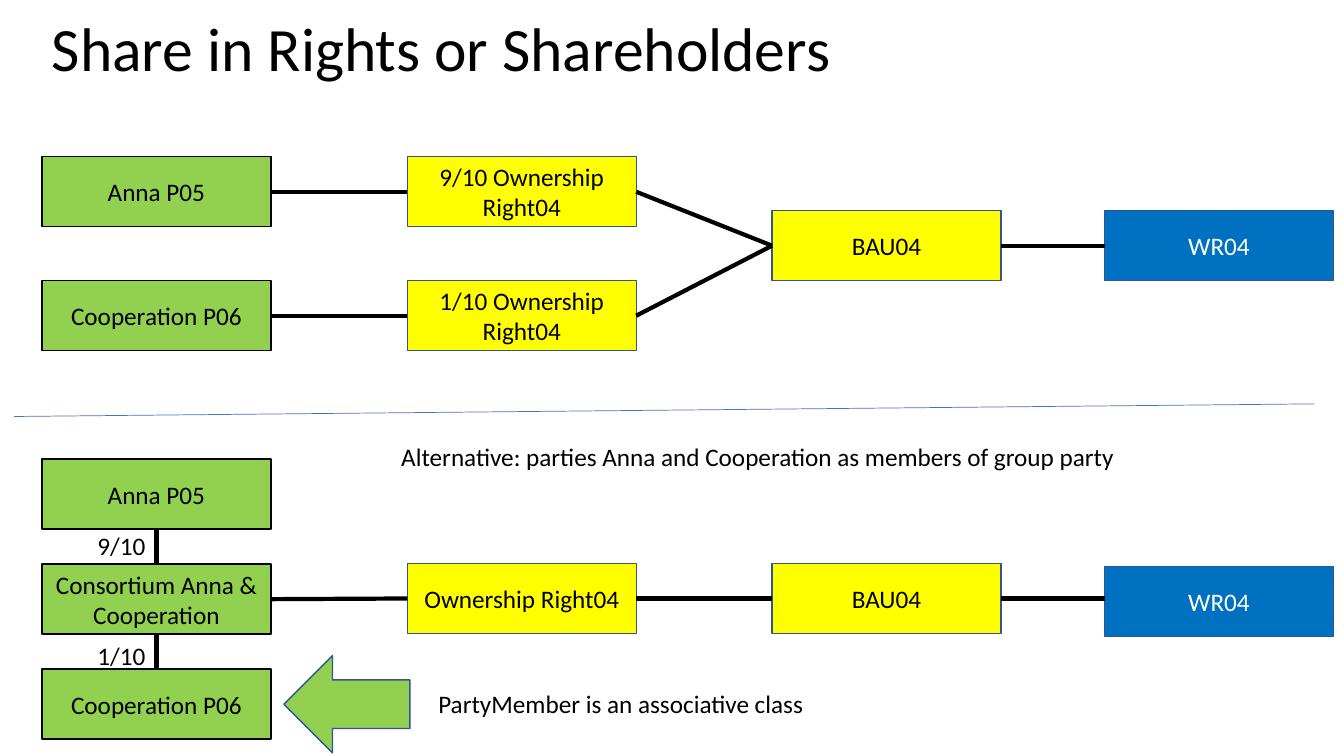
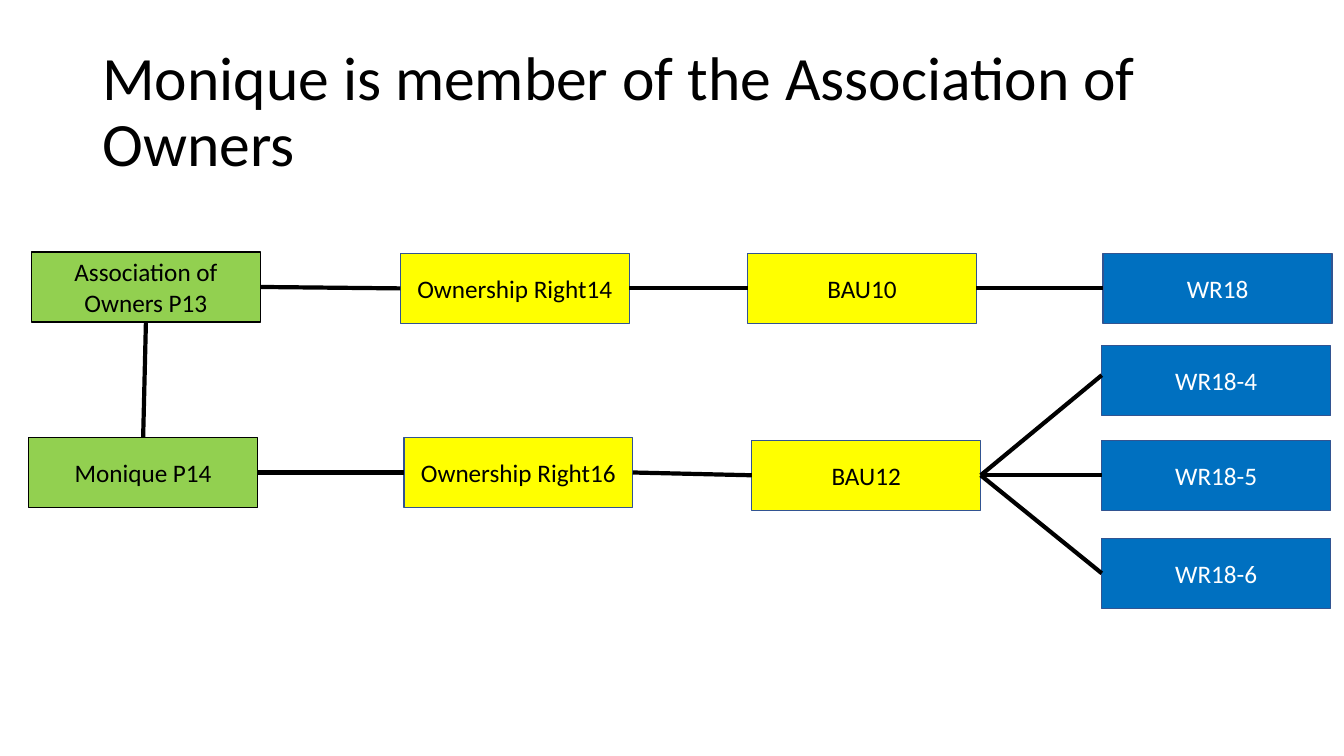
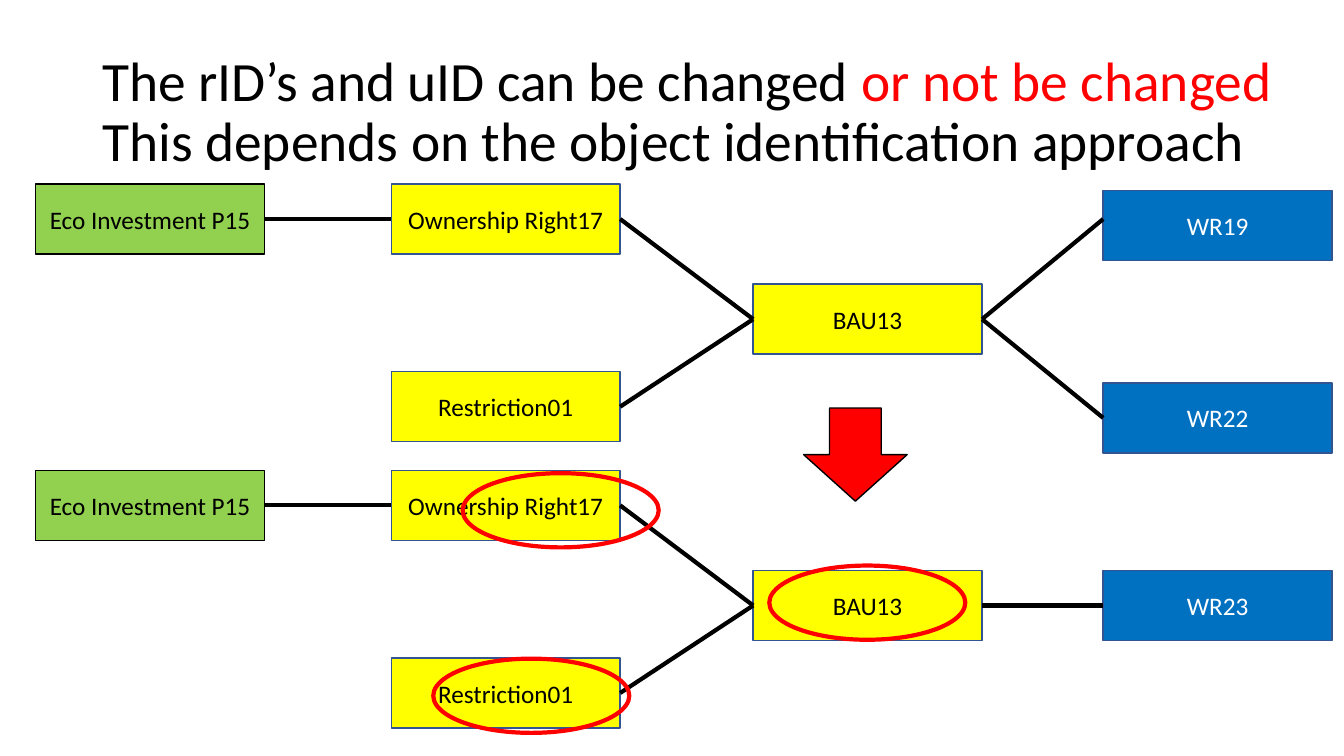
from pptx import Presentation
from pptx.dml.color import RGBColor
from pptx.enum import shapes, text
from pptx.oxml import ns
from pptx.util import Pt

FONT = "Calibri"
BLACK, WHITE, RED = "000000", "FFFFFF", "FF0000"
GREEN, YELLOW, BLUE = "92D050", "FFFF00", "0070C0"
EDGE, DIVIDER = "325491", "4472C4"
# fill, outline and text colour of each class of box
PARTY = (GREEN, BLACK, BLACK)
RIGHT = (YELLOW, EDGE, BLACK)
UNIT = (BLUE, EDGE, WHITE)
BOX_W, BOX_H = 163.5, 50
TOP, LEFT, BOTTOM, RIGHT_SIDE = range(4)


def colour(hex_code):
    return RGBColor.from_string(hex_code)


def style_run(run, size, hex_code):
    run.font.name = FONT
    run.font.size = Pt(size)
    run.font.color.rgb = colour(hex_code)


def add_preset(slide, kind, box, fill, outline, weight=1):
    shape = slide.shapes.add_shape(kind, *map(Pt, box))
    shape.shadow.inherit = False
    if fill:
        shape.fill.solid()
        shape.fill.fore_color.rgb = colour(fill)
    else:
        shape.fill.background()
    shape.line.color.rgb = colour(outline)
    shape.line.width = Pt(weight)
    return shape


def add_node(slide, label, left, top, node_class):
    """Draw one object of the model as a labelled rectangle."""
    fill, outline, ink = node_class
    node = add_preset(slide, shapes.MSO_SHAPE.RECTANGLE,
                      (left, top, BOX_W, BOX_H), fill, outline)
    frame = node.text_frame
    frame.word_wrap = True
    frame.vertical_anchor = text.MSO_ANCHOR.MIDDLE
    frame.text = label
    frame.paragraphs[0].alignment = text.PP_ALIGN.CENTER
    style_run(frame.paragraphs[0].runs[0], 18, ink)
    return node


def add_line(slide, ends=(0, 0, 0, 0), hex_code=BLACK, weight=3):
    line = slide.shapes.add_connector(shapes.MSO_CONNECTOR.STRAIGHT, *map(Pt, ends))
    line.line.color.rgb = colour(hex_code)
    line.line.width = Pt(weight)
    line._element.spPr.append(line._element.spPr.makeelement(ns.qn("a:effectLst"), {}))
    return line


def link(slide, start, end, sides=(RIGHT_SIDE, LEFT), rise=0):
    """Join two nodes; a rise ends the line that far above the left middle."""
    line = add_line(slide)
    line.begin_connect(start, sides[0])
    if rise:
        line.end_x = end.left
        line.end_y = end.top + end.height // 2 - Pt(rise)
    else:
        line.end_connect(end, sides[1])


def link_row(slide, *nodes):
    for start, end in zip(nodes, nodes[1:]):
        link(slide, start, end)


def add_label(slide, box, label, wrap=True):
    frame = slide.shapes.add_textbox(*map(Pt, box)).text_frame
    frame.word_wrap = wrap
    frame.text = label
    style_run(frame.paragraphs[0].runs[0], 18, BLACK)


def add_title(slide, box, lines, size=44, anchor=text.MSO_ANCHOR.MIDDLE):
    """Write the title; each line is a list of (wording, colour) parts."""
    frame = slide.shapes.add_textbox(*map(Pt, box)).text_frame
    frame.word_wrap = True
    frame.vertical_anchor = anchor
    paragraph = frame.paragraphs[0]
    paragraph.line_spacing = 0.9
    for number, parts in enumerate(lines):
        if number:
            paragraph.add_line_break()
        for wording, ink in parts:
            run = paragraph.add_run()
            run.text = wording
            style_run(run, size, ink)


def shares_in_right(slide, left, top):
    """Two parties, each holding a share in the same right."""
    bau = add_node(slide, "BAU04", left + 521.5, top + 38.5, RIGHT)
    unit = add_node(slide, "WR04", left + 759, top + 38.5, UNIT)
    link(slide, bau, unit)
    for row, (name, share) in enumerate([("Anna P05", "9/10"), ("Cooperation P06", "1/10")]):
        y = top + row * 88.5
        party = add_node(slide, name, left, y, PARTY)
        right = add_node(slide, f"{share} Ownership Right04", left + 261, y, RIGHT)
        link_row(slide, party, right, bau)


def group_party(slide, left, top):
    """Two parties as members of a consortium that holds the right."""
    pitch = 75
    names = ("Anna P05", "Consortium Anna & Cooperation", "Cooperation P06")
    members = [add_node(slide, name, left, top + row * pitch, PARTY)
               for row, name in enumerate(names)]
    for upper, lower in zip(members, members[1:]):
        link(slide, upper, lower, (BOTTOM, TOP))
    for row, share in enumerate(("9/10", "1/10")):
        add_label(slide, (left + 32.5, top + 47.5 + row * 78, 49, 29), share, wrap=False)

    right = add_node(slide, "Ownership Right04", left + 261, top + 74.5, RIGHT)
    bau = add_node(slide, "BAU04", left + 521.5, top + 74.5, RIGHT)
    unit = add_node(slide, "WR04", left + 759, top + 76.5, UNIT)
    link_row(slide, members[1], right, bau)
    link(slide, bau, unit, rise=2)

    add_label(slide, (left + 249.5, top - 16.5, 528, 29),
              "Alternative: parties Anna and Cooperation as members of group party")
    arrow = add_preset(slide, shapes.MSO_SHAPE.DOWN_ARROW,
                       (left + 183, top + 130, 69.5, 90), GREEN, EDGE)
    arrow.rotation = 90
    add_label(slide, (left + 276, top + 160, 297, 29), "PartyMember is an associative class")


def association(slide, left, top):
    """The association's right above the right of its member."""
    owners = add_node(slide, "Association of Owners P13", left + 2, top, PARTY)
    common_right = add_node(slide, "Ownership Right14", left + 265.5, top + 1, RIGHT)
    common_bau = add_node(slide, "BAU10", left + 513.5, top + 1, RIGHT)
    building = add_node(slide, "WR18", left + 767.5, top + 1, UNIT)
    link_row(slide, owners, common_right, common_bau, building)

    member = add_node(slide, "Monique P14", left, top + 132.5, PARTY)
    right = add_node(slide, "Ownership Right16", left + 268, top + 132.5, RIGHT)
    bau = add_node(slide, "BAU12", left + 516.5, top + 134.5, RIGHT)
    link_row(slide, member, right, bau)
    link(slide, owners, member, (BOTTOM, TOP))
    for name, y, rise in (("WR18-4", 67, 4), ("WR18-5", 134.5, 0), ("WR18-6", 204.5, 0)):
        apartment = add_node(slide, name, left + 766.5, top + y, UNIT)
        link(slide, bau, apartment, rise=rise)


def restricted_ownership(slide, left, top, units):
    """An owned and restricted BAU; units are (name, offset down, rise)."""
    party = add_node(slide, "Eco Investment P15", left, top, PARTY)
    right = add_node(slide, "Ownership Right17", left + 254, top, RIGHT)
    restriction = add_node(slide, "Restriction01", left + 254, top + 134, RIGHT)
    bau = add_node(slide, "BAU13", left + 512.5, top + 71.5, RIGHT)
    link_row(slide, party, right, bau)
    link(slide, restriction, bau)
    for name, y, rise in units:
        unit = add_node(slide, name, left + 762.5, top + y, UNIT)
        link(slide, bau, unit, rise=rise)


def mark_changes(slide, left, top):
    """Ring the identifiers that may change."""
    for x, y in ((305, 2), (524, 68), (284, 134.5)):
        add_preset(slide, shapes.MSO_SHAPE.OVAL, (left + x, top + y, 140, 53), None, RED, 3)


def shareholders_slide(slide):
    add_title(slide, (30, 9.5, 922.5, 104.5),
              [[("Share in Rights or Shareholders", BLACK)]], anchor=text.MSO_ANCHOR.TOP)
    shares_in_right(slide, 30, 112)
    add_line(slide, (10, 297.5, 939, 288.5), DIVIDER, 0.5)
    group_party(slide, 30, 328)


def association_slide(slide):
    add_title(slide, (66, 29, 828, 104.5),
              [[("Monique is member of the Association of Owners", BLACK)]])
    association(slide, 20.5, 180)


def identifiers_slide(slide):
    add_title(slide, (66, 29, 862, 104.5),
              [[("The rID’s and uID can be changed ", BLACK), ("or not be changed", RED)],
               [("This depends on the object identification approach", BLACK)]], size=39.6)
    restricted_ownership(slide, 25.5, 131.5, [("WR19", 4.5, 4.5), ("WR22", 142, 0)])
    restricted_ownership(slide, 25.5, 336, [("WR23", 71.5, 0)])
    add_preset(slide, shapes.MSO_SHAPE.DOWN_ARROW, (574, 291.5, 74, 66.5), RED, BLACK)
    mark_changes(slide, 25.5, 336)


def main():
    deck = Presentation()
    deck.slide_width, deck.slide_height = Pt(960), Pt(540)
    for build in (shareholders_slide, association_slide, identifiers_slide):
        build(deck.slides.add_slide(deck.slide_layouts[6]))
    deck.save("out.pptx")


if __name__ == "__main__":
    main()
